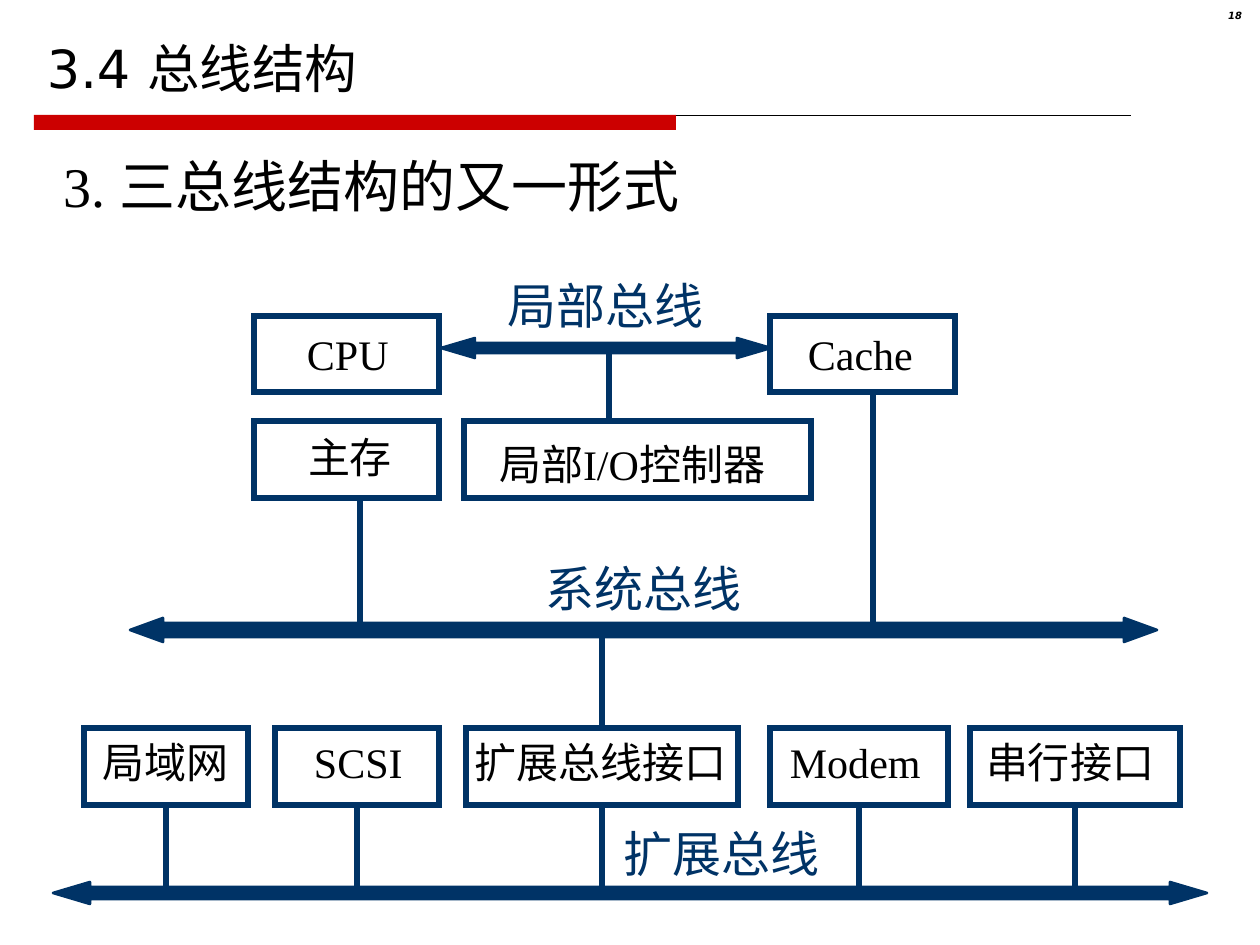
"""Build the bus structure slide with its three buses and attached units."""
import typing

import lxml.etree
import pptx
import pptx.dml.color
import pptx.enum.shapes
import pptx.enum.text
import pptx.oxml.ns
import pptx.util

EMU_PER_PX = 914400 / 126
NAVY, RED, BLACK = "003366", "CC0000", "000000"
SERIF, SANS, HEADING = "Times New Roman", "Cabin", "DejaVu Sans"
ANCHOR = pptx.enum.text.MSO_ANCHOR
ALIGN = pptx.enum.text.PP_ALIGN
FIT = pptx.enum.text.MSO_AUTO_SIZE


class Unit(typing.NamedTuple):
    """A framed unit whose text starts at an inset from its corner."""
    text: str
    left: int
    top: int
    width: int
    height: int
    inset_left: int
    inset_top: int
    font: str


class Bus(typing.NamedTuple):
    """A double-headed bar with its name above it."""
    name: str
    left: int
    right: int
    middle: int
    head: int
    half_head: int
    half_bar: int
    name_left: int
    name_top: int


class Link(typing.NamedTuple):
    """A vertical link, joined to a unit's side when one is named."""
    x: int
    top: int
    bottom: int
    unit: str = ""
    side: int = 2


UNITS = [
    Unit("CPU", 254, 316, 185, 76, 53, 13, SERIF),
    Unit("Cache", 770, 316, 185, 76, 38, 13, SERIF),
    Unit("主存", 254, 421, 185, 77, 54, 11, SANS),
    Unit("局部I/O控制器", 464, 421, 347, 77, 35, 18, SERIF),
    Unit("局域网", 84, 728, 164, 77, 19, 9, SANS),
    Unit("SCSI", 275, 728, 164, 77, 39, 9, SERIF),
    Unit("扩展总线接口", 466, 728, 272, 77, 9, 9, SANS),
    Unit("Modem", 770, 728, 178, 77, 20, 9, SERIF),
    Unit("串行接口", 970, 728, 210, 77, 16, 9, SANS),
]
BUSES = [
    Bus("局部总线", 441, 771, 348, 34, 10, 5, 508, 275),
    Bus("系统总线", 130, 1157, 630, 33, 12, 7, 546, 558),
    Bus("扩展总线", 53, 1207, 893, 37, 11, 6, 624, 823),
]
LINKS = [
    Link(609, 348, 421),
    Link(360, 497, 632),
    Link(873, 390, 632),
    Link(602, 632, 728, "扩展总线接口", 0),
] + [
    Link(unit.left + unit.width // 2, 805, 893, unit.text)
    for unit in UNITS if unit.top == 728
]


def px(length: int) -> int:
    """Turn pixels into EMU."""
    return round(length * EMU_PER_PX)


def colour(value: str):
    """Turn a hex string into a colour."""
    return pptx.dml.color.RGBColor.from_string(value)


def apply(target, values: dict) -> None:
    """Set each named attribute on the target."""
    for name, value in values.items():
        setattr(target, name, value)


def paint(shape, fill: str, line: str, width: float) -> None:
    """Give a shape its fill and outline; an empty string means none."""
    shape.shadow.inherit = False
    if fill:
        shape.fill.solid()
        shape.fill.fore_color.rgb = colour(fill)
    else:
        shape.fill.background()
    if line:
        shape.line.color.rgb = colour(line)
        shape.line.width = pptx.util.Pt(width)
    else:
        shape.line.fill.background()


def write(shape, text: str, font: str, size: float, tint: str = BLACK,
          insets: tuple = (0, 0, 0, 0), frame_format: typing.Optional[dict] = None,
          para_format: typing.Optional[dict] = None,
          font_format: typing.Optional[dict] = None) -> None:
    """Write one formatted paragraph into a shape."""
    frame = shape.text_frame
    sides = ("margin_left", "margin_top", "margin_right", "margin_bottom")
    apply(frame, dict(zip(sides, map(px, insets))))
    apply(frame, {"word_wrap": True, "vertical_anchor": ANCHOR.TOP,
                  "auto_size": FIT.NONE, **(frame_format or {})})
    para = frame.paragraphs[0]
    apply(para, {"alignment": ALIGN.LEFT, **(para_format or {})})
    span = para.add_run()
    span.text = text
    apply(span.font, {"name": font, "size": pptx.util.Pt(size), **(font_format or {})})
    span.font.color.rgb = colour(tint)


def add_text(page, left: int, top: int, width: int, height: int, *args, **formats) -> None:
    """Add a text box."""
    box = page.shapes.add_textbox(*map(px, (left, top, width, height)))
    write(box, *args, **formats)


def add_rectangle(page, left: int, top: int, width: int, height: int):
    """Add a plain rectangle."""
    kind = pptx.enum.shapes.MSO_SHAPE.RECTANGLE
    return page.shapes.add_shape(kind, *map(px, (left, top, width, height)))


def add_line(page, start: tuple, end: tuple, tint: str, width: float):
    """Add a straight connector without a shadow."""
    kind = pptx.enum.shapes.MSO_CONNECTOR.STRAIGHT
    line = page.shapes.add_connector(kind, *map(px, start + end))
    line.line.color.rgb = colour(tint)
    line.line.width = pptx.util.Pt(width)
    lxml.etree.SubElement(line._element.spPr, pptx.oxml.ns.qn("a:effectLst"))
    return line


def add_unit(page, unit: Unit):
    """Add a framed unit with square corners and its text."""
    box = add_rectangle(page, unit.left, unit.top, unit.width, unit.height)
    paint(box, "", NAVY, 3)
    outline = box._element.spPr.find(pptx.oxml.ns.qn("a:ln"))
    lxml.etree.SubElement(outline, pptx.oxml.ns.qn("a:miter"), lim="800000")
    write(box, unit.text, unit.font, 24, insets=(unit.inset_left, unit.inset_top, 0, 0))
    return box


def add_link(page, link: Link, boxes: dict) -> None:
    """Add a link and join it to its unit."""
    line = add_line(page, (link.x, link.top), (link.x, link.bottom), NAVY, 3)
    if link.unit:
        join = line.end_connect if link.side == 0 else line.begin_connect
        join(boxes[link.unit], link.side)


def add_bus(page, bus: Bus) -> None:
    """Add a double-headed bar and its name."""
    inner_left, inner_right = bus.left + bus.head, bus.right - bus.head
    lower = [(inner_left, bus.half_head), (inner_left, bus.half_bar),
             (inner_right, bus.half_bar), (inner_right, bus.half_head)]
    upper = [(x, -offset) for x, offset in reversed(lower)]
    outline = lower + [(bus.right, 0)] + upper
    builder = page.shapes.build_freeform(bus.left, bus.middle, scale=EMU_PER_PX)
    builder.add_line_segments([(x, bus.middle + offset) for x, offset in outline], close=True)
    paint(builder.convert_to_shape(), NAVY, NAVY, 1.5)
    add_text(page, bus.name_left, bus.name_top, 215, 59, bus.name, SANS, 28, NAVY)


def main() -> None:
    """Build and save the deck."""
    deck = pptx.Presentation()
    apply(deck, {"slide_width": px(1260), "slide_height": px(945)})
    page = deck.slides.add_slide(deck.slide_layouts[5])
    padding = (13, 6, 13, 6)

    add_line(page, (34, 115), (1131, 115), BLACK, 0.5)
    paint(add_rectangle(page, 34, 115, 642, 15), RED, "", 0)
    title = page.shapes.title
    apply(title, {"left": px(34), "top": px(16), "width": px(1191), "height": px(89)})
    write(title, "3.4 总线结构", HEADING, 30, insets=padding,
          frame_format={"vertical_anchor": ANCHOR.BOTTOM})
    add_text(page, 1181, 6, 74, 29, "18", HEADING, 5.7, insets=padding,
             para_format={"alignment": ALIGN.RIGHT, "line_spacing": 0.8},
             font_format={"bold": True, "italic": True})
    add_text(page, 50, 145, 700, 81, "3. 三总线结构的又一形式", SERIF, 32, insets=padding)

    boxes = {unit.text: add_unit(page, unit) for unit in UNITS}
    for link in LINKS:
        add_link(page, link, boxes)
    for bus in BUSES:
        add_bus(page, bus)
    deck.save("out.pptx")


if __name__ == "__main__":
    main()
